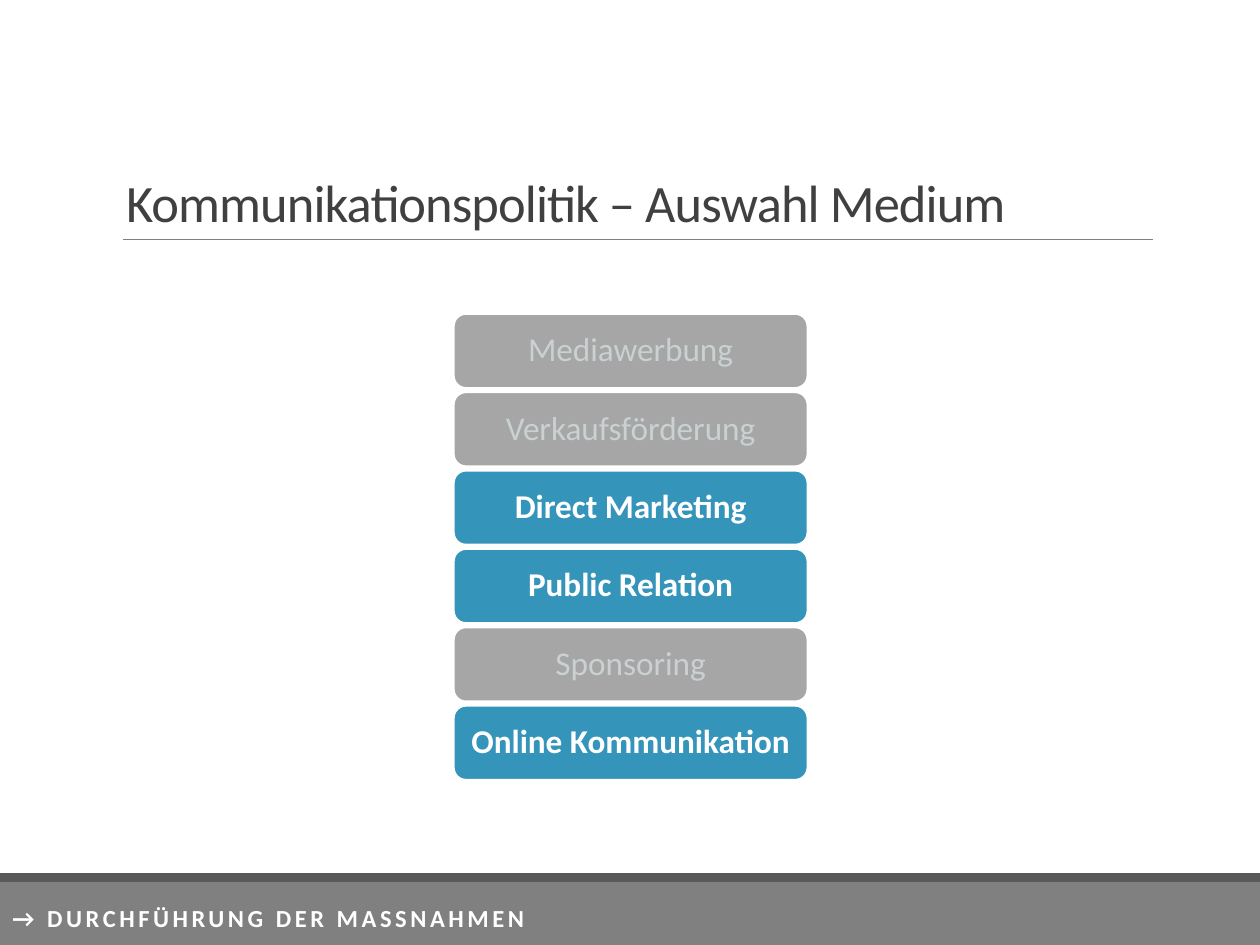
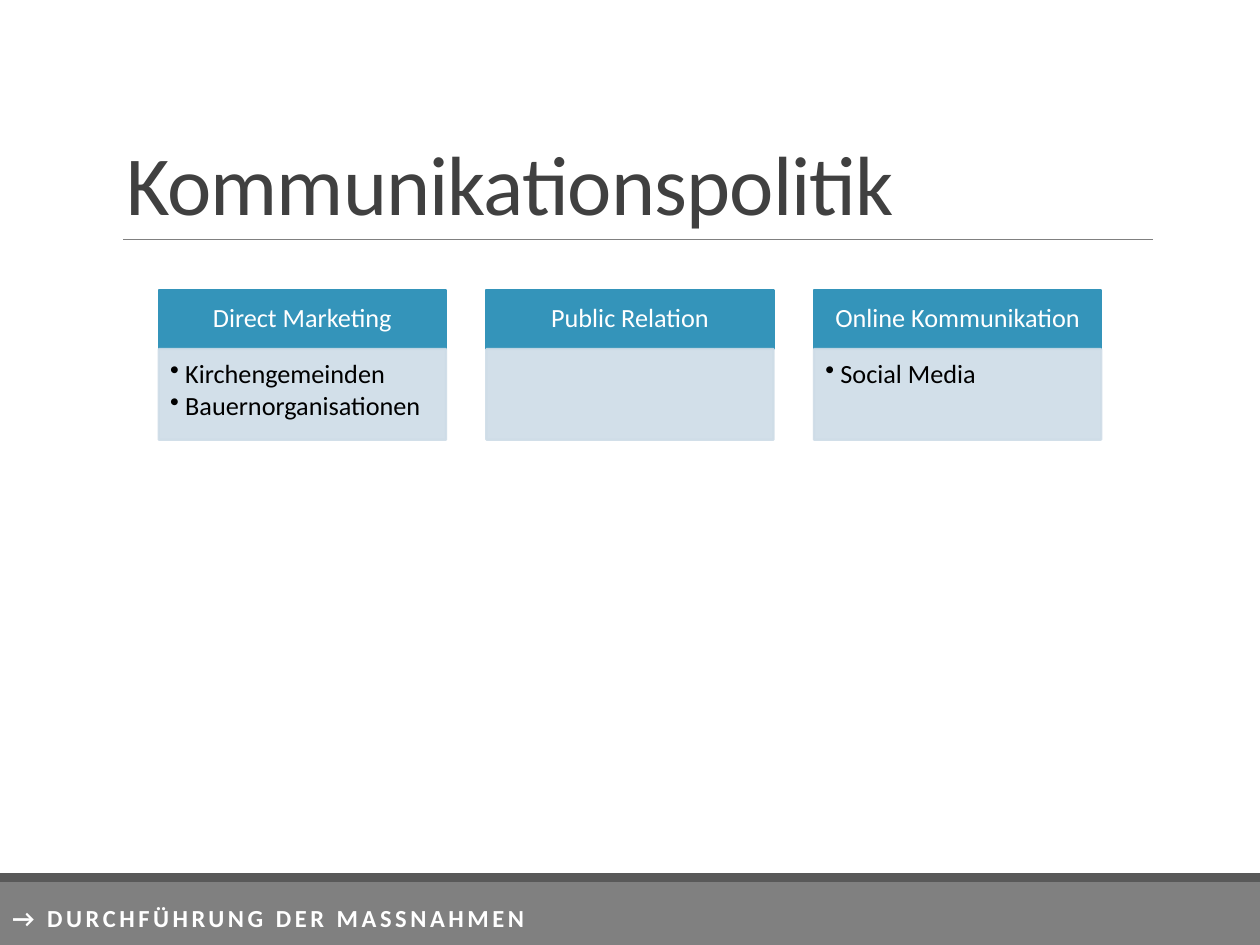
import pptx
import pptx.util
import pptx.dml.color
import pptx.enum.shapes
import pptx.enum.text
from lxml import etree

Inches, Pt = pptx.util.Inches, pptx.util.Pt
SHAPE = pptx.enum.shapes.MSO_SHAPE
ALIGN = pptx.enum.text.PP_ALIGN
ANCHOR = pptx.enum.text.MSO_ANCHOR

FOOTER = "→ DURCHFÜHRUNG DER MASSNAHMEN"
MEDIA = [
    ("Mediawerbung", False),
    ("Verkaufsförderung", False),
    ("Direct Marketing", True),
    ("Public Relation", True),
    ("Sponsoring", False),
    ("Online Kommunikation", True),
]
CHANNELS = [
    ("Direct Marketing", ["Kirchengemeinden", "Bauernorganisationen"]),
    ("Public Relation", []),
    ("Online Kommunikation", ["Social Media"]),
]
COLORS = {
    "white": "FFFFFF", "black": "000000", "title": "404040",
    "band": "808080", "band_edge": "595959",
    "accent": "3494BA", "panel": "CEDCE7",
    "muted": "A6A6A6", "muted_text": "CAD1D2",
}
FONT = "Calibri"


def rgb(name):
    return pptx.dml.color.RGBColor.from_string(COLORS[name])


def add_xml(parent, tag, **attrs):
    return etree.SubElement(parent, pptx.oxml.ns.qn(tag), attrs)


def add_run(p, text, size, color, bold=False, spacing=None):
    r = p.add_run()
    r.text = text
    r.font.name = FONT
    r.font.size = Pt(size)
    r.font.bold = bold
    r.font.color.rgb = rgb(color)
    if spacing is not None:
        r._r.get_or_add_rPr().set("spc", str(int(spacing * 100)))


def set_frame(tf, anchor, insets):
    tf.word_wrap = True
    tf.auto_size = pptx.enum.text.MSO_AUTO_SIZE.NONE
    tf.vertical_anchor = anchor
    tf.margin_left, tf.margin_top, tf.margin_right, tf.margin_bottom = map(Inches, insets)


def add_box(s, kind, box, fill, line=None, opacity=None):
    sp = s.shapes.add_shape(kind, *map(Inches, box))
    sp.shadow.inherit = False
    sp.fill.solid()
    sp.fill.fore_color.rgb = rgb(fill)
    if line:
        sp.line.color.rgb = rgb(line)
        sp.line.width = Pt(1.25)
    else:
        sp.line.fill.background()
    if opacity:
        for clr in sp._element.spPr.iter(pptx.oxml.ns.qn("a:srgbClr")):
            add_xml(clr, "a:alpha", val=str(opacity * 1000))
    return sp


def add_label(sp, text, size, color, insets, bold=False):
    set_frame(sp.text_frame, ANCHOR.MIDDLE, insets)
    p = sp.text_frame.paragraphs[0]
    p.alignment = ALIGN.CENTER
    p.line_spacing = 0.9
    add_run(p, text, size, color, bold)


def add_bullets(sp, items, size):
    tf = sp.text_frame
    set_frame(tf, ANCHOR.TOP, (0.09, 0.09, 0.12, 0.13))
    for i, item in enumerate(items):
        p = tf.add_paragraph() if i else tf.paragraphs[0]
        p.alignment = ALIGN.LEFT
        p.line_spacing = 0.9
        p.space_after = Pt(0.15 * size)
        pPr = p._p.get_or_add_pPr()
        pPr.set("marL", str(Inches(0.12)))
        pPr.set("indent", str(-Inches(0.12)))
        add_xml(pPr, "a:buChar", char="•")
        add_run(p, item, size, "black")


def new_slide(prs, title, size):
    s = prs.slides.add_slide(prs.slide_layouts[5])
    add_box(s, SHAPE.RECTANGLE, (0, 7, 10, 0.5), "band")
    add_box(s, SHAPE.RECTANGLE, (0, 6.93, 10, 0.07), "band_edge")

    rule = s.shapes.add_connector(
        pptx.enum.shapes.MSO_CONNECTOR.STRAIGHT,
        Inches(0.98), Inches(1.9), Inches(9.15), Inches(1.9))
    rule.line.color.rgb = rgb("band")
    rule.line.width = Pt(0.5)
    add_xml(rule._element.spPr, "a:effectLst")

    sp = s.shapes.title
    sp.left, sp.top, sp.width, sp.height = map(Inches, (0.9, 0.31, 8.25, 1.59))
    set_frame(sp.text_frame, ANCHOR.BOTTOM, (0.1, 0.05, 0.1, 0.05))
    p = sp.text_frame.paragraphs[0]
    p.alignment = ALIGN.LEFT
    p.line_spacing = 0.85
    add_run(p, title, size, "title", spacing=-0.5)

    footer = s.shapes.add_textbox(*map(Inches, (0, 7.14, 10, 0.39)))
    set_frame(footer.text_frame, ANCHOR.TOP, (0.1, 0.05, 0.1, 0.05))
    p = footer.text_frame.paragraphs[0]
    p.line_spacing = 0.9
    add_run(p, FOOTER, 14, "white", bold=True, spacing=2)
    return s


def build_media(prs):
    s = new_slide(prs, "Kommunikationspolitik – Auswahl Medium", 30)
    left, top, width, height, pitch = 3.6, 2.49, 2.81, 0.59, 0.622
    for i, (name, chosen) in enumerate(MEDIA):
        box = (left, top + i * pitch, width, height)
        sp = add_box(s, SHAPE.ROUNDED_RECTANGLE, box,
                     "accent" if chosen else "muted", "white")
        add_label(sp, name, 19, "white" if chosen else "muted_text",
                  (0.08, 0.04, 0.08, 0.04), bold=chosen)


def build_channels(prs):
    s = new_slide(prs, "Kommunikationspolitik", 48)
    left, top, width, pitch = 1.26, 2.3, 2.28, 2.6
    head_height, panel_height = 0.47, 0.72
    for i, (name, items) in enumerate(CHANNELS):
        x = left + i * pitch
        head = add_box(s, SHAPE.RECTANGLE, (x, top, width, head_height), "accent", "accent")
        add_label(head, name, 15, "white", (0.12, 0.07, 0.12, 0.07))
        panel = add_box(s, SHAPE.RECTANGLE, (x, top + head_height, width, panel_height),
                        "panel", "panel", opacity=90)
        add_bullets(panel, items, 15)


def main():
    prs = pptx.Presentation()
    prs.slide_width, prs.slide_height = Inches(10), Inches(7.5)
    build_media(prs)
    build_channels(prs)
    prs.save("out.pptx")


if __name__ == "__main__":
    main()
